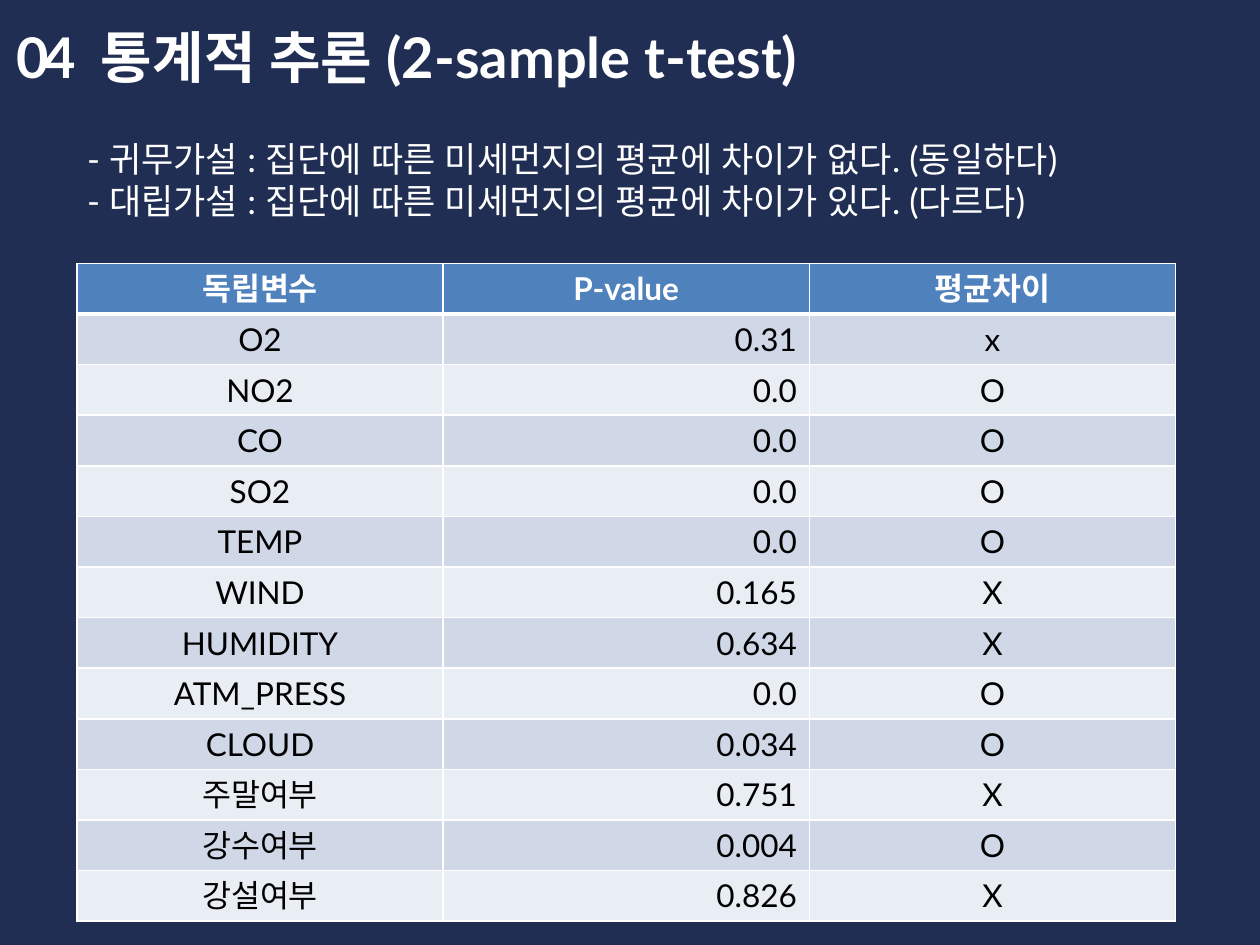
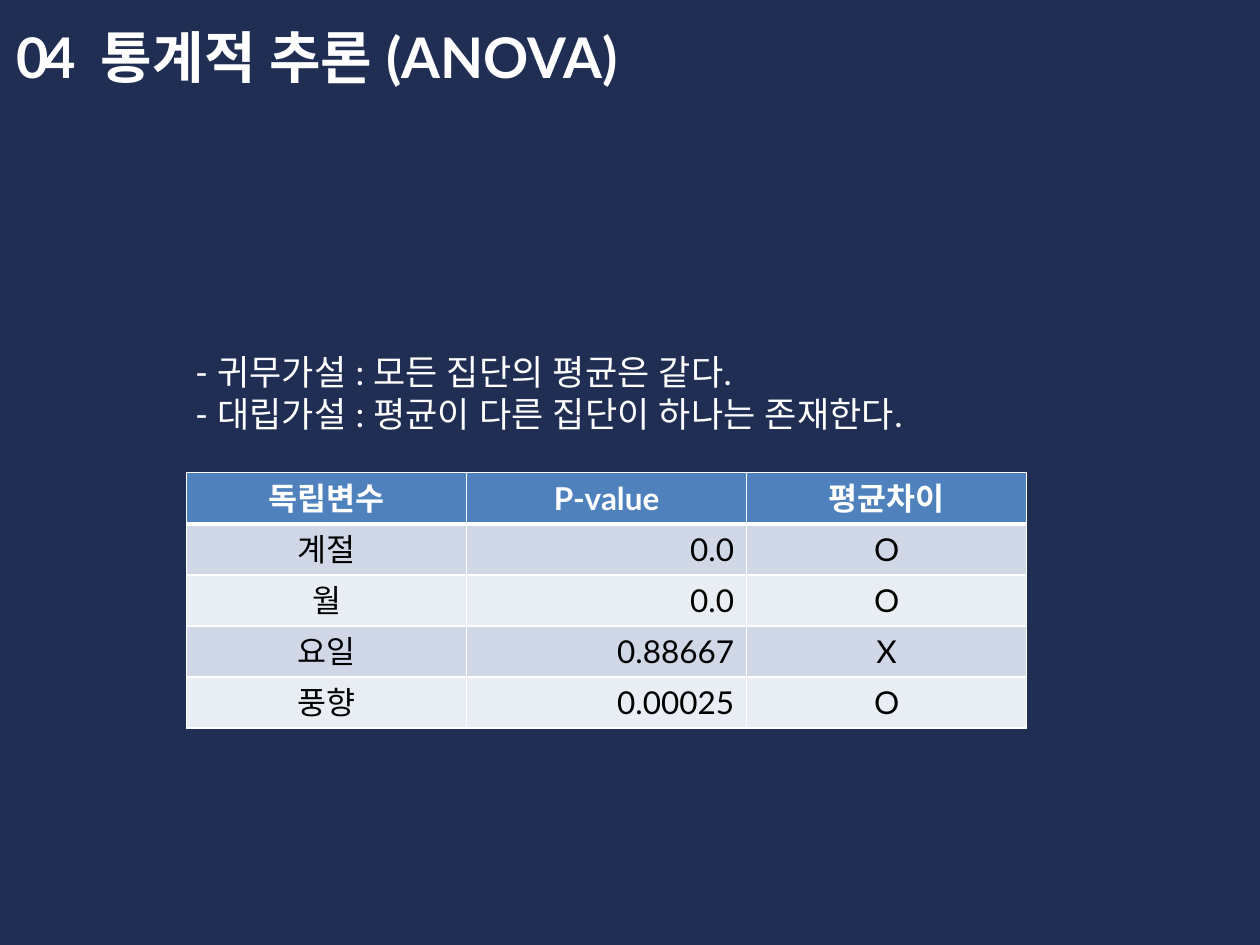
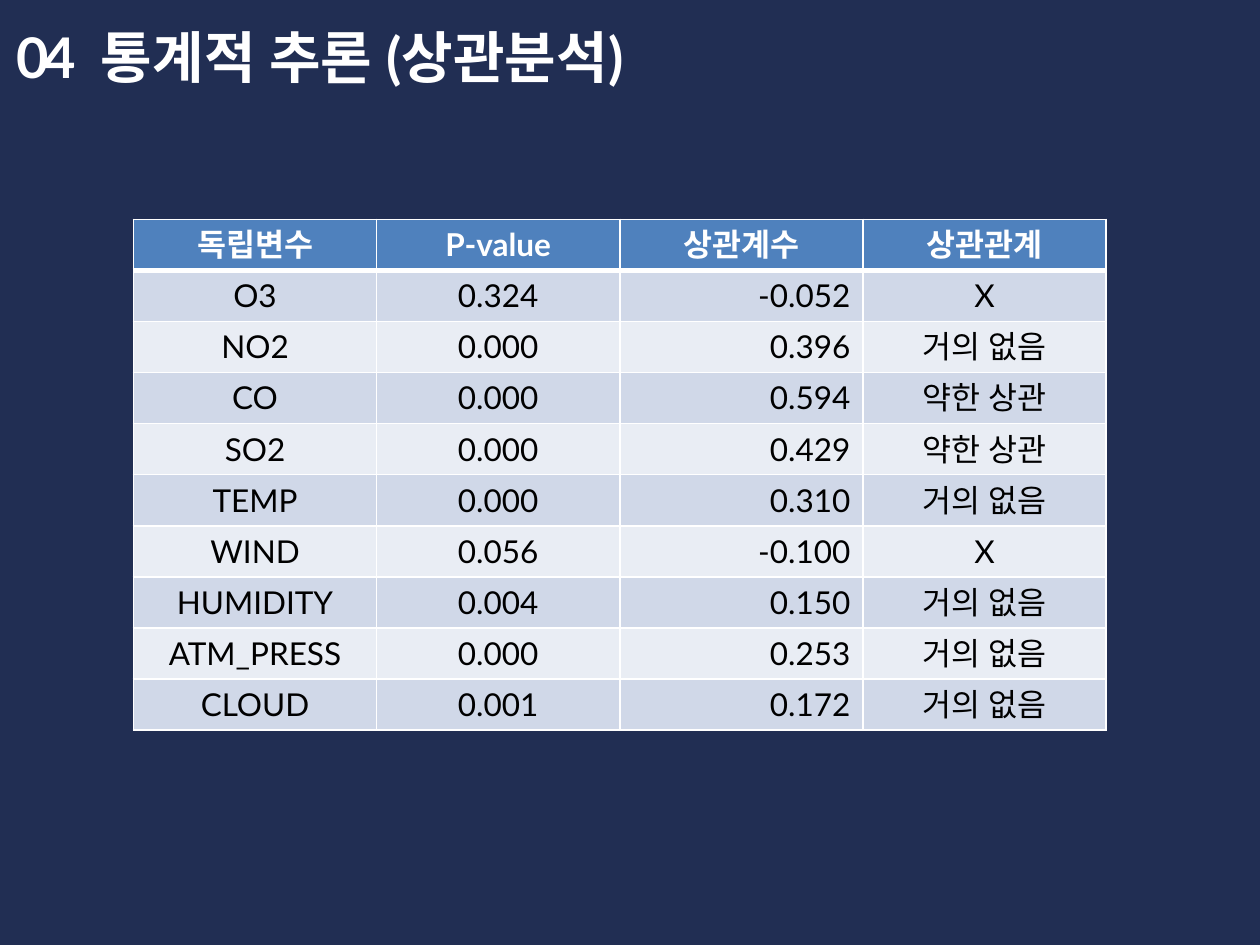
from dataclasses import dataclass

from pptx import Presentation
from pptx.dml.color import RGBColor
from pptx.enum.text import MSO_ANCHOR, MSO_AUTO_SIZE, PP_ALIGN as Align
from pptx.oxml.ns import qn
from pptx.util import Cm, Pt
from lxml.etree import SubElement

FONT = "Lato"
NAVY, WHITE, BLACK = "212E53", "FFFFFF", "000000"
HEADER_BLUE = "4F81BD"
BANDS = ("D0D8E8", "E9EDF4")
TITLE_AND_CONTENT, TITLE_ONLY = 1, 5


@dataclass
class Frame:
    """Place and size in centimetres."""
    left: float
    top: float
    width: float
    height: float


@dataclass
class Grid:
    left: float
    top: float
    width: float
    row_height: float
    number_column: int
    rows: list[tuple[str, ...]]


@dataclass
class TestPage:
    method: str
    grid: Grid
    hypotheses: tuple[str, ...] = ()
    hypotheses_frame: Frame | None = None


NUMBER_FRAME = Frame(0.08, 0.33, 3.94, 1.63)
TITLE_FRAME = Frame(1.78, 0.33, 23.72, 1.63)
DIFFERENCE_HEADER = ("독립변수", "P-value", "평균차이")

PAGES = [
    TestPage(
        "2-sample t-test",
        Grid(1.55, 5.31, 22.15, 1.02, 1, [
            DIFFERENCE_HEADER,
            ("O2", "0.31", "x"),
            ("NO2", "0.0", "O"),
            ("CO", "0.0", "O"),
            ("SO2", "0.0", "O"),
            ("TEMP", "0.0", "O"),
            ("WIND", "0.165", "X"),
            ("HUMIDITY", "0.634", "X"),
            ("ATM_PRESS", "0.0", "O"),
            ("CLOUD", "0.034", "O"),
            ("주말여부", "0.751", "X"),
            ("강수여부", "0.004", "O"),
            ("강설여부", "0.826", "X"),
        ]),
        ("- 귀무가설 : 집단에 따른 미세먼지의 평균에 차이가 없다. (동일하다)",
         "- 대립가설 : 집단에 따른 미세먼지의 평균에 차이가 있다. (다르다)"),
        Frame(1.5, 2.64, 22.33, 1.96),
    ),
    TestPage(
        "ANOVA",
        Grid(3.76, 9.53, 16.94, 1.03, 1, [
            DIFFERENCE_HEADER,
            ("계절", "0.0", "O"),
            ("월", "0.0", "O"),
            ("요일", "0.88667", "X"),
            ("풍향", "0.00025", "O"),
        ]),
        ("- 귀무가설 : 모든 집단의 평균은 같다.",
         "- 대립가설 : 평균이 다른 집단이 하나는 존재한다."),
        Frame(3.68, 6.93, 15.93, 1.96),
    ),
    TestPage(
        "상관분석",
        Grid(2.69, 4.42, 19.61, 1.03, 2, [
            ("독립변수", "P-value", "상관계수", "상관관계"),
            ("O3", "0.324", "-0.052", "X"),
            ("NO2", "0.000", "0.396", "거의 없음"),
            ("CO", "0.000", "0.594", "약한 상관"),
            ("SO2", "0.000", "0.429", "약한 상관"),
            ("TEMP", "0.000", "0.310", "거의 없음"),
            ("WIND", "0.056", "-0.100", "X"),
            ("HUMIDITY", "0.004", "0.150", "거의 없음"),
            ("ATM_PRESS", "0.000", "0.253", "거의 없음"),
            ("CLOUD", "0.001", "0.172", "거의 없음"),
        ]),
    ),
]


def paint(fill, color: str) -> None:
    fill.solid()
    fill.fore_color.rgb = RGBColor.from_string(color)


def write(para, text: str, *, size: float, color: str = WHITE, bold: bool = False,
          align=Align.LEFT, spacing: float = 0) -> None:
    """Add one formatted run; spacing is the letter spacing in points."""
    para.alignment = align
    span = para.add_run()
    span.text = text
    span.font.size = Pt(size)
    span.font.bold = bold
    span.font.name = FONT
    paint(span.font.fill, color)
    props = span.font._element
    SubElement(props, qn("a:ea")).set("typeface", FONT)
    if spacing:
        props.set("spc", str(int(spacing * 100)))


def place(box, frame: Frame) -> None:
    box.left, box.top = Cm(frame.left), Cm(frame.top)
    box.width, box.height = Cm(frame.width), Cm(frame.height)
    box.text_frame.word_wrap = True
    box.text_frame.auto_size = MSO_AUTO_SIZE.SHAPE_TO_FIT_TEXT
    box.text_frame.vertical_anchor = MSO_ANCHOR.TOP


def add_heading(page, method: str) -> None:
    number = page.shapes.add_textbox(0, 0, 0, 0)
    place(number, NUMBER_FRAME)
    write(number.text_frame.paragraphs[0], "04", size=32, bold=True, spacing=-3)
    title = page.shapes.title
    place(title, TITLE_FRAME)
    write(title.text_frame.paragraphs[0], f"통계적 추론 ({method})", size=32, bold=True)


def add_hypotheses(page, lines: tuple[str, ...], frame: Frame) -> None:
    body = page.placeholders[1]
    place(body, frame)
    for index, line in enumerate(lines):
        text = body.text_frame
        para = text.add_paragraph() if index else text.paragraphs[0]
        props = para._p.get_or_add_pPr()
        props.set("marL", "0")
        props.set("indent", "0")
        SubElement(props, qn("a:buNone"))
        para.space_before = Pt(0)
        write(para, line, size=20)


def set_borders(cell, top: float, bottom: float) -> None:
    """Draw white cell borders; widths in points, sides are 1 point."""
    props = cell._tc.get_or_add_tcPr()
    for side, width in (("L", 1), ("R", 1), ("T", top), ("B", bottom)):
        line = SubElement(props, qn(f"a:ln{side}"), w=str(Pt(width)))
        color = SubElement(SubElement(line, qn("a:solidFill")), qn("a:srgbClr"))
        color.set("val", WHITE)


def add_results(page, grid: Grid) -> None:
    row_count, column_count = len(grid.rows), len(grid.rows[0])
    table = page.shapes.add_table(
        row_count, column_count, Cm(grid.left), Cm(grid.top),
        Cm(grid.width), Cm(grid.row_height * row_count)).table
    for column in table.columns:
        column.width = Cm(grid.width / column_count)
    for r, values in enumerate(grid.rows):
        table.rows[r].height = Cm(grid.row_height)
        header = r == 0
        for c, value in enumerate(values):
            cell = table.cell(r, c)
            set_borders(cell, top=3 if r == 1 else 1, bottom=3 if header else 1)
            paint(cell.fill, HEADER_BLUE if header else BANDS[(r - 1) % 2])
            is_number = c == grid.number_column and not header
            write(cell.text_frame.paragraphs[0], value, size=18, bold=header,
                  color=WHITE if header else BLACK,
                  align=Align.RIGHT if is_number else Align.CENTER)


def main() -> None:
    deck = Presentation()
    deck.slide_width, deck.slide_height = Cm(25.4), Cm(19.05)
    paint(deck.slide_master.background.fill, NAVY)
    for test in PAGES:
        layout = TITLE_AND_CONTENT if test.hypotheses else TITLE_ONLY
        page = deck.slides.add_slide(deck.slide_layouts[layout])
        add_heading(page, test.method)
        add_results(page, test.grid)
        if test.hypotheses:
            add_hypotheses(page, test.hypotheses, test.hypotheses_frame)
    deck.save("out.pptx")


if __name__ == "__main__":
    main()
